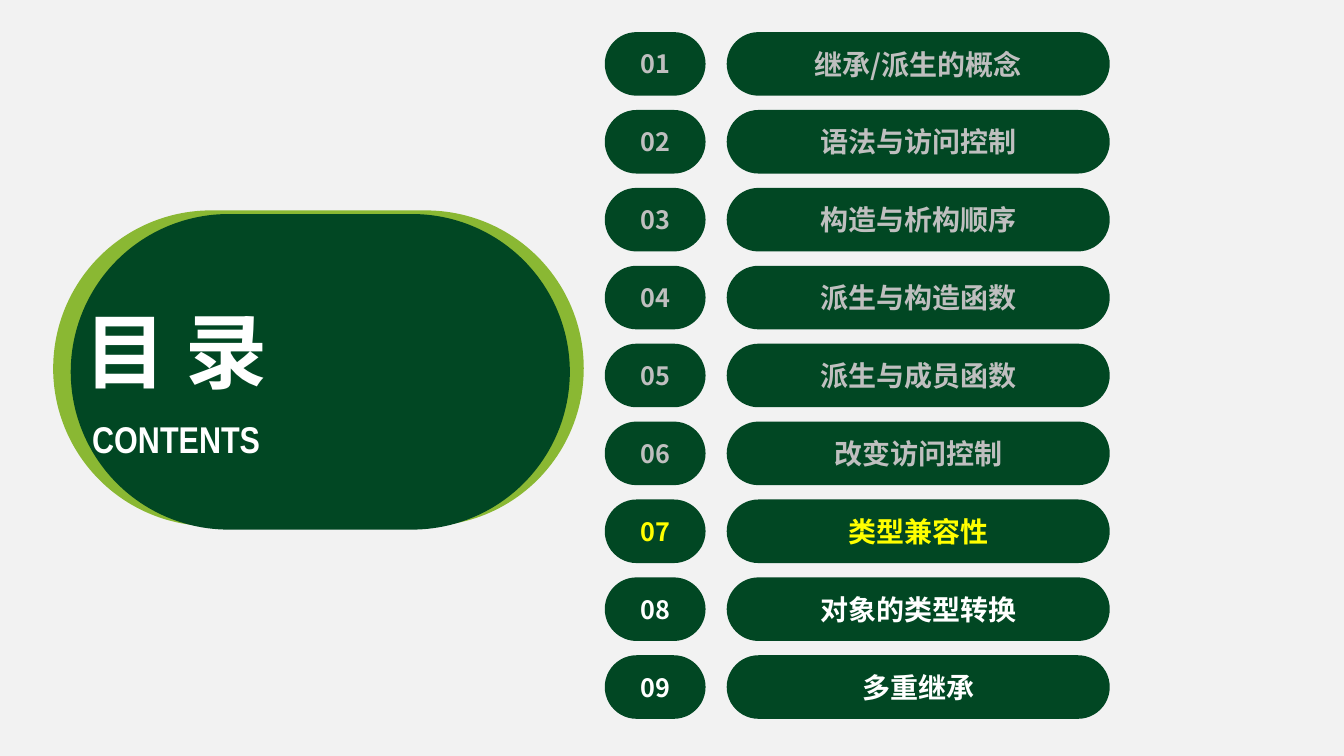
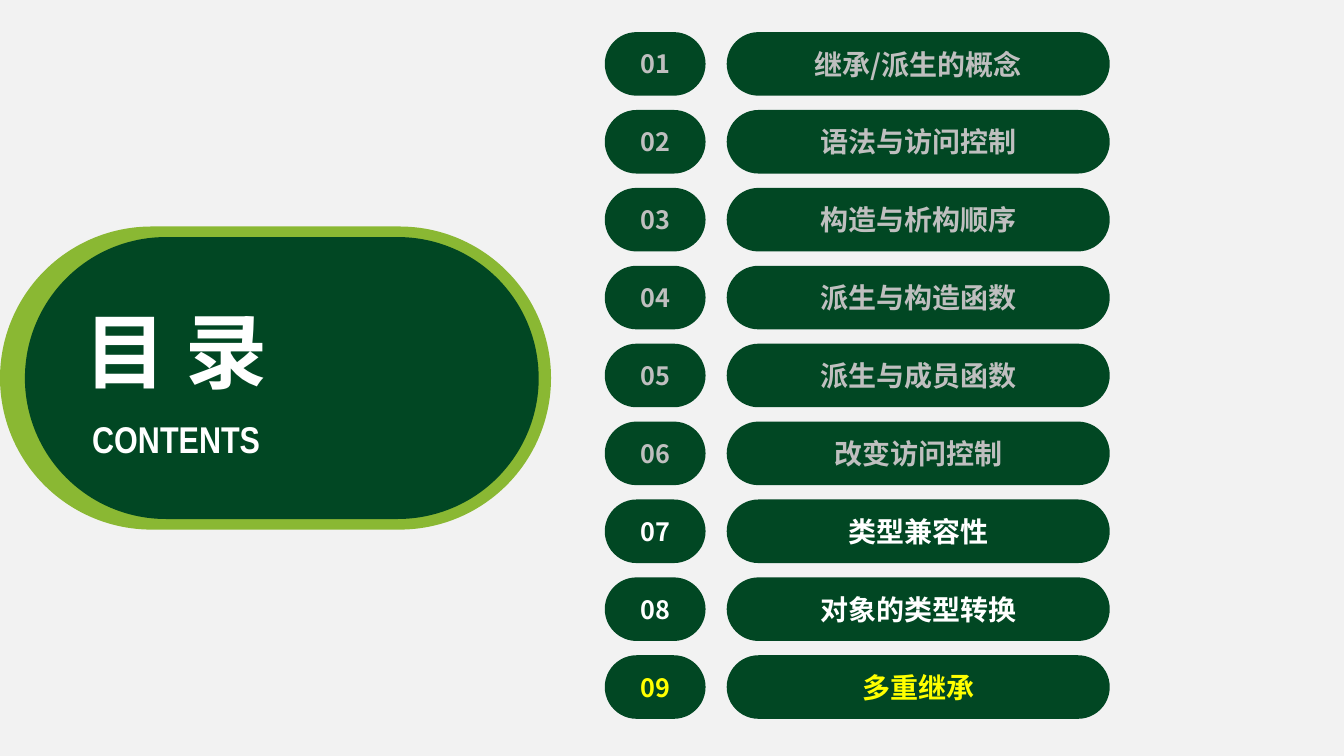
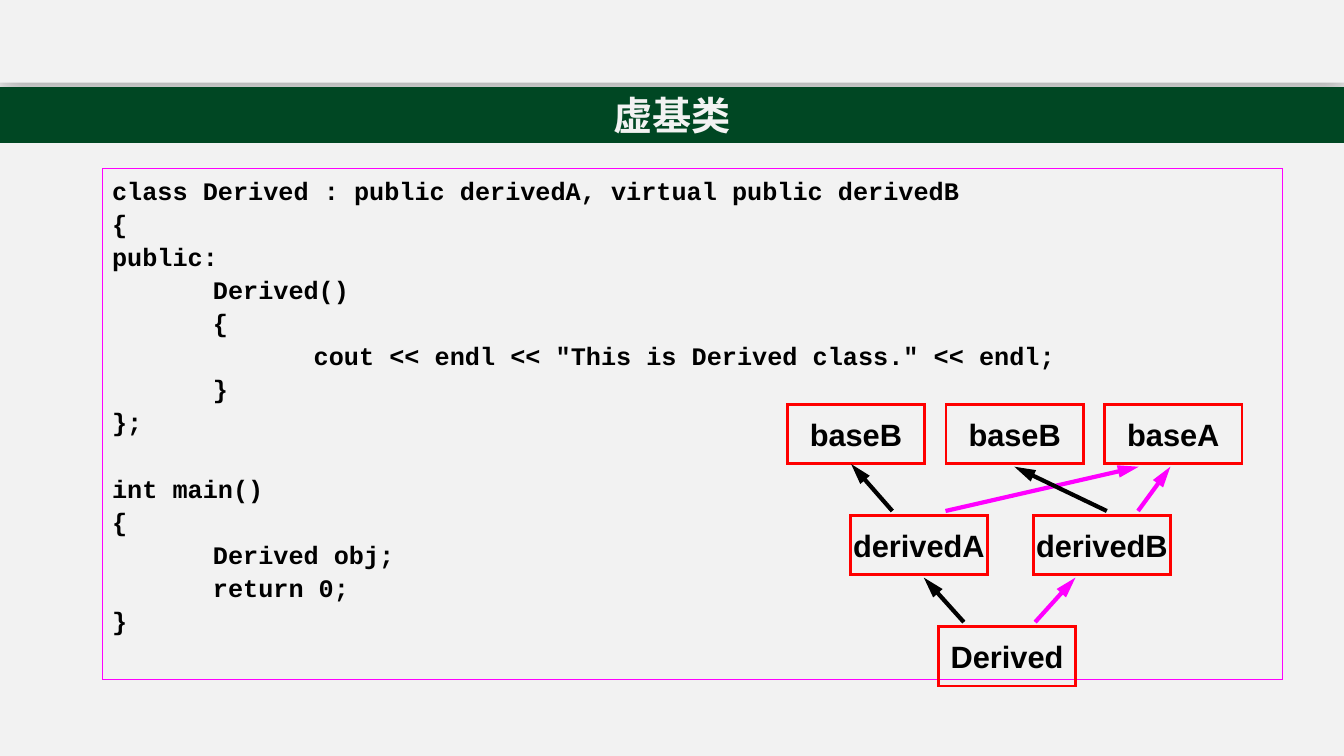
from lxml.etree import SubElement
from pptx import Presentation
from pptx.dml.color import RGBColor
from pptx.enum.shapes import MSO_CONNECTOR as CONNECTOR, MSO_SHAPE as SHAPE
from pptx.enum.text import MSO_ANCHOR as ANCHOR, MSO_AUTO_SIZE as AUTO_SIZE, PP_ALIGN as ALIGN
from pptx.oxml.ns import qn
from pptx.util import Pt

PAPER = RGBColor(0xF2, 0xF2, 0xF2)
WHITE = RGBColor(0xFF, 0xFF, 0xFF)
BLACK = RGBColor(0x00, 0x00, 0x00)
GREY = RGBColor(0xBF, 0xBF, 0xBF)
YELLOW = RGBColor(0xFF, 0xFF, 0x00)
LIME = RGBColor(0x8A, 0xB8, 0x33)
GREEN = RGBColor(0x01, 0x47, 0x23)
BAND_GREEN = RGBColor(0x00, 0x47, 0x23)
RED = RGBColor(0xFF, 0x00, 0x00)
MAGENTA = RGBColor(0xFF, 0x00, 0xFF)

CJK = "Noto Sans CJK SC"
NUMBER_FONT = {"name": CJK, "size": Pt(18), "bold": True}
TOPIC_FONT = {"name": CJK, "size": Pt(20), "bold": True}
CONTENTS_FONT = {"name": "Arial Narrow", "size": Pt(26.6), "bold": True}
CONTENTS_CJK_FONT = {"name": CJK, "size": Pt(58.6), "bold": True}
TITLE_FONT = {"name": CJK, "size": Pt(28), "bold": True}
CODE_FONT = {"name": "Courier New", "size": Pt(18), "bold": True}
CLASS_FONT = {"name": "Arial", "size": Pt(22), "bold": True}

CENTERED = {"word_wrap": True, "vertical_anchor": ANCHOR.MIDDLE}
UNWRAPPED = {"word_wrap": False, "vertical_anchor": ANCHOR.MIDDLE}
FITTED = {"word_wrap": False, "vertical_anchor": ANCHOR.TOP, "auto_size": AUTO_SIZE.SHAPE_TO_FIT_TEXT}
CODE_FRAME = {"word_wrap": True, "vertical_anchor": ANCHOR.TOP, "margin_top": Pt(4.2)}


def add_box(slide, kind, box, fill=None, line=None, line_width=1):
    shape = slide.shapes.add_shape(kind, *[Pt(length) for length in box])
    shape.shadow.inherit = False
    if kind == SHAPE.ROUNDED_RECTANGLE:
        shape.adjustments[0] = 0.5
    for target, color in ((shape.fill, fill), (shape.line.fill, line)):
        if color is None:
            target.background()
        else:
            target.solid()
            target.fore_color.rgb = color
    if line is not None:
        shape.line.width = Pt(line_width)
        SubElement(shape._element.spPr.find(qn("a:ln")), qn("a:miter"), lim="800000")
    return shape


def write(shape, text, color, font_format, frame_format, align=ALIGN.CENTER):
    frame = shape.text_frame
    for name, value in frame_format.items():
        setattr(frame, name, value)
    for index, line in enumerate(text.split("\n")):
        paragraph = frame.paragraphs[0] if index == 0 else frame.add_paragraph()
        paragraph.alignment = align
        run = paragraph.add_run()
        run.text = line
        for name, value in font_format.items():
            setattr(run.font, name, value)
        run.font.color.rgb = color
        SubElement(run.font._element, qn("a:ea"), typeface=font_format["name"])


presentation = Presentation()
presentation.slide_width = Pt(960)
presentation.slide_height = Pt(540)
blank = presentation.slide_layouts[6]

TOPICS = [
    "继承/派生的概念", "语法与访问控制", "构造与析构顺序", "派生与构造函数", "派生与成员函数",
    "改变访问控制", "类型兼容性", "对象的类型转换", "多重继承",
]
FINISHED = 6
ROW_TOP, ROW_PITCH, ROW_HEIGHT = 22.95, 55.64, 45.4

AGENDAS = [
    (7, (38, 150.3, 379, 225.5), (50.5, 152.9, 356.5, 225.4)),
    (9, (0, 161.8, 393.6, 216.5), (17.8, 169.3, 367, 201.4)),
]

for current, outer_pill, inner_pill in AGENDAS:
    slide = presentation.slides.add_slide(blank)
    add_box(slide, SHAPE.ROUNDED_RECTANGLE, outer_pill, LIME)
    add_box(slide, SHAPE.ROUNDED_RECTANGLE, inner_pill, GREEN)
    for text, font_format, box in (
        ("目 录", CONTENTS_CJK_FONT, (50.5, 211, 150.5, 78.5)),
        ("CONTENTS", CONTENTS_FONT, (44.6, 293.8, 162.7, 39.6)),
    ):
        label = slide.shapes.add_textbox(*[Pt(length) for length in box])
        write(label, text, WHITE, font_format, FITTED)
    for number, topic in enumerate(TOPICS, 1):
        color = YELLOW if number == current else GREY if number <= FINISHED else WHITE
        top = ROW_TOP + (number - 1) * ROW_PITCH
        for text, font_format, left, width in (
            (f"{number:02}", NUMBER_FONT, 432, 72),
            (topic, TOPIC_FONT, 519.1, 273.6),
        ):
            pill = add_box(slide, SHAPE.ROUNDED_RECTANGLE, (left, top, width, ROW_HEIGHT), GREEN)
            write(pill, text, color, font_format, CENTERED)

slide = presentation.slides.add_slide(blank)
backdrop = add_box(slide, SHAPE.RECTANGLE, (0, 0, 960, 540), PAPER)
backdrop._element.nvSpPr.cNvPr.set("id", "100")
presentation.slide_master.shapes._spTree.insert(2, backdrop._element)

header = add_box(slide, SHAPE.RECTANGLE, (0, -3.6, 960, 62.6), PAPER)
effects = header._element.spPr.find(qn("a:effectLst"))
shadow = SubElement(effects, qn("a:outerShdw"), blurRad=str(Pt(18)), dist=str(Pt(4)),
                    dir="5400000", algn="t", rotWithShape="0")
shadow_color = SubElement(shadow, qn("a:srgbClr"), val=str(BLACK))
SubElement(shadow_color, qn("a:alpha"), val="29000")
band = add_box(slide, SHAPE.RECTANGLE, (0, 62.6, 960, 39.4), BAND_GREEN, BAND_GREEN)
write(band, "虚基类", PAPER, TITLE_FONT, CENTERED)

CODE = """class Derived : public derivedA, virtual public derivedB
{
public:
\tDerived()
\t{
\t\tcout << endl << "This is Derived class." << endl;
\t}
};
int main()
{
\tDerived obj;
\treturn 0;
}"""
LINE_GAP, BLOCK_GAP = 0.82, 25.7
TAB_STOPS = (72, 144)

code_box = add_box(slide, SHAPE.RECTANGLE, (73, 120.2, 843, 365.2), line=MAGENTA, line_width=0.75)
write(code_box, CODE, BLACK, CODE_FONT, CODE_FRAME, ALIGN.LEFT)
for index, paragraph in enumerate(code_box.text_frame.paragraphs):
    paragraph.line_spacing = 1.05
    if index:
        paragraph.space_before = Pt(BLOCK_GAP if paragraph.text == "int main()" else LINE_GAP)
    tabs = SubElement(paragraph._p.get_or_add_pPr(), qn("a:tabLst"))
    for stop in TAB_STOPS:
        SubElement(tabs, qn("a:tab"), pos=str(Pt(stop)), algn="l")

CLASS_ROWS = [
    (288.8, [("baseB", 562.3), ("baseB", 675.7), ("baseA", 789)]),
    (368.1, [("derivedA", 607.3), ("derivedB", 738)]),
    (447.5, [("Derived", 670.3)]),
]
for top, classes in CLASS_ROWS:
    for name, left in classes:
        class_box = add_box(slide, SHAPE.RECTANGLE, (left, top, 98.2, 42.5), line=RED, line_width=2)
        write(class_box, name, BLACK, CLASS_FONT, UNWRAPPED)

ARROWS = [
    (637.4, 365, 608, 331.5, BLACK),
    (688.5, 444.4, 659.9, 412.6, BLACK),
    (675.4, 365, 813.4, 333.4, MAGENTA),
    (790.6, 365, 724.6, 333.4, BLACK),
    (812.9, 365, 836, 333.4, MAGENTA),
    (739.4, 444.4, 768.2, 412.6, MAGENTA),
]
for *ends, color in ARROWS:
    arrow = slide.shapes.add_connector(CONNECTOR.STRAIGHT, *[Pt(end) for end in ends])
    arrow.line.color.rgb = color
    arrow.line.width = Pt(3)
    properties = arrow._element.spPr
    SubElement(properties.find(qn("a:ln")), qn("a:tailEnd"), type="triangle", w="med", len="lg")
    SubElement(properties, qn("a:effectLst"))

presentation.save("out.pptx")
